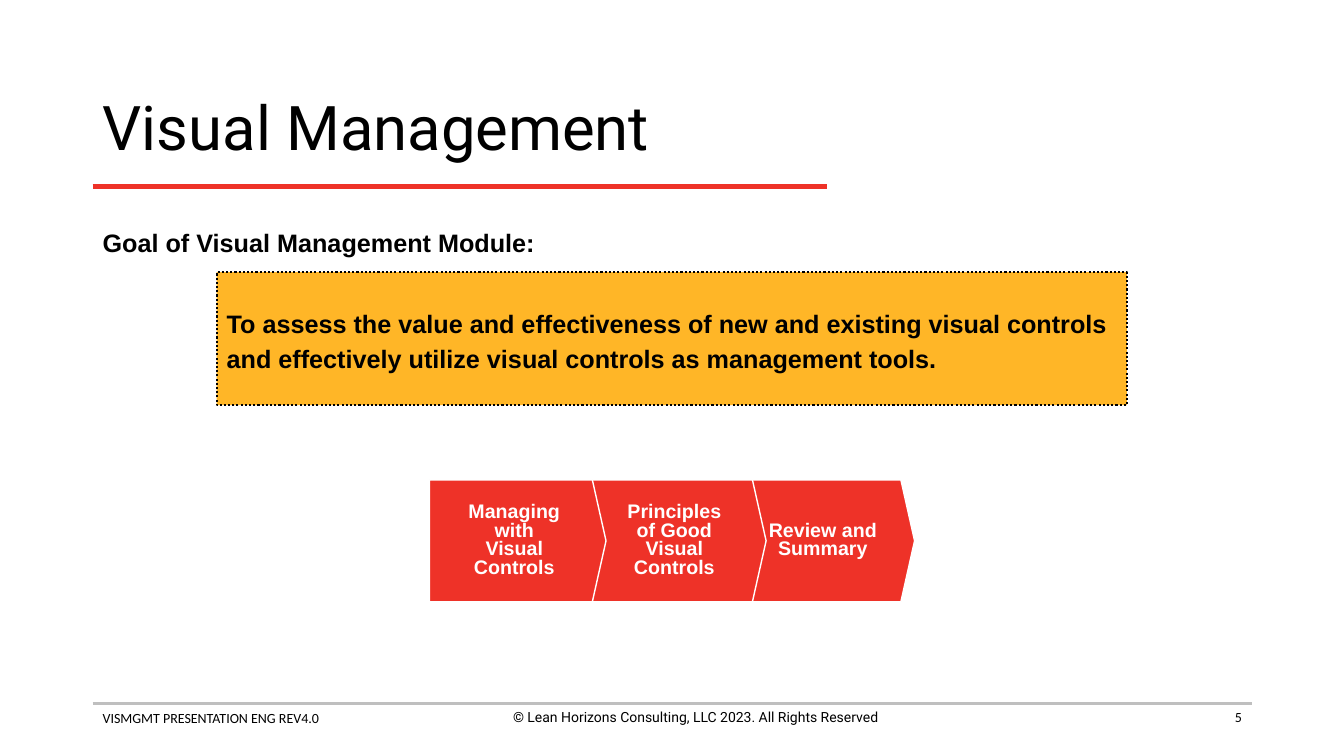
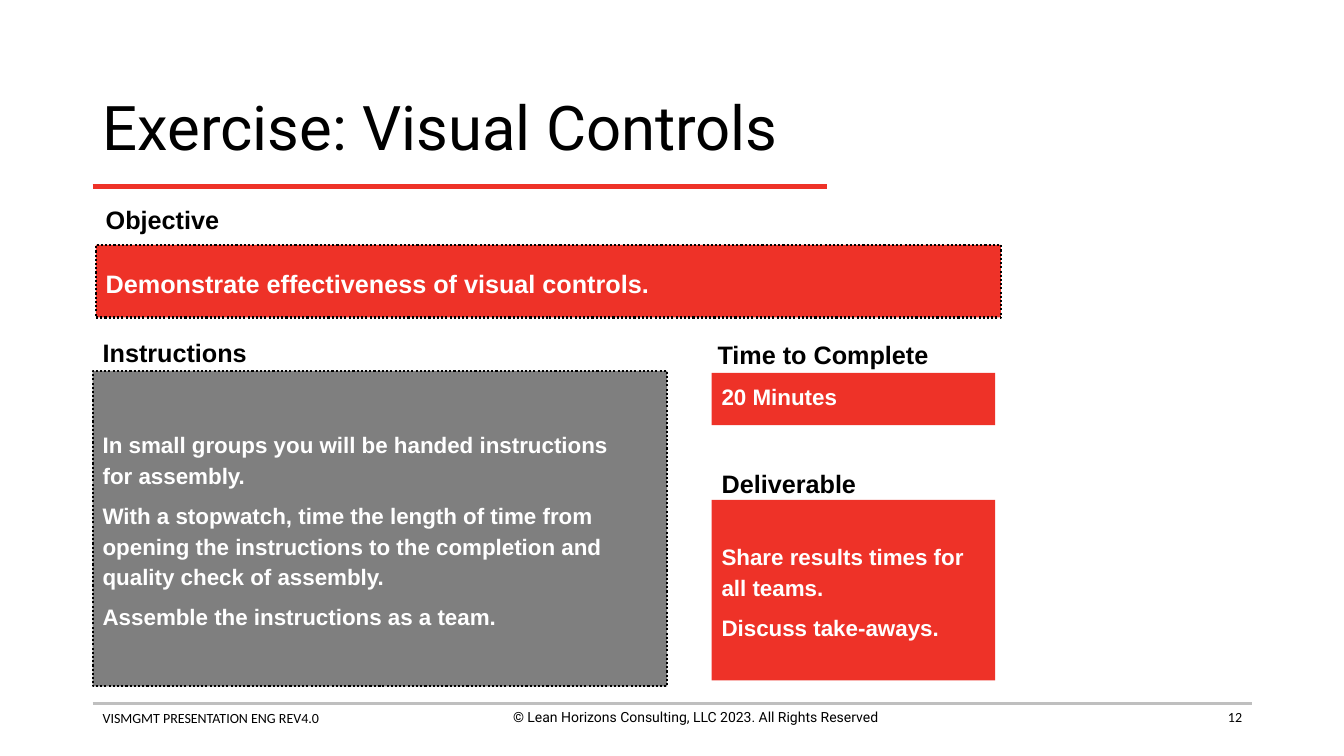
import pptx
import pptx.util
import pptx.dml.color
import pptx.enum.dml
import pptx.enum.shapes
import pptx.enum.text
import pptx.oxml.ns
import lxml.etree

WIDE, HIGH = 13.33, 7.5
RED, GOLD, GRAY, PALE = "EE3228", "FFB627", "7F7F7F", "BFBFBF"
BLACK, WHITE = "000000", "FFFFFF"
EDGE, SPAN = 6.9, 86.25
FOOT = (EDGE, 93.07, SPAN, 5.9)
HEAD = (EDGE, 9.87, SPAN, 14.67)
ALIGN = pptx.enum.text.PP_ALIGN
ANCHOR = pptx.enum.text.MSO_ANCHOR
SHAPE = pptx.enum.shapes.MSO_SHAPE


def size(box):
    x, y, w, h = box
    return [pptx.util.Inches(v * full / 100)
            for v, full in ((x, WIDE), (y, HIGH), (w, WIDE), (h, HIGH))]


def paint(target, color):
    if hasattr(target, "solid"):
        target.solid()
        target = target.fore_color
    else:
        target = target.color
    target.rgb = pptx.dml.color.RGBColor.from_string(color)


def write(shape, text, pt=18, font="Arial", color=BLACK, bold=True,
          align=ALIGN.LEFT, anchor=ANCHOR.TOP, line=1.0, gap=0, after=0):
    frame = shape.text_frame
    frame.word_wrap = True
    frame.vertical_anchor = anchor
    frame.text = text
    for index, para in enumerate(frame.paragraphs):
        para.alignment = align
        para.line_spacing = line
        para.space_before = pptx.util.Pt(gap if index else 0)
        para.space_after = pptx.util.Pt(after)
        para.font.size = pptx.util.Pt(pt)
        para.font.name = font
        para.font.bold = bold
        paint(para.font, color)


def label(slide, box, text, **style):
    write(slide.shapes.add_textbox(*size(box)), text, **style)


def block(slide, box, kind, fill, edge=None, width=1.5, dash=None):
    shape = slide.shapes.add_shape(kind, *size(box))
    shape.shadow.inherit = False
    paint(shape.fill, fill)
    if edge:
        paint(shape.line, edge)
        shape.line.width = pptx.util.Pt(width)
        if dash:
            shape.line.dash_style = dash
    else:
        shape.line.fill.background()
    return shape


def rule(slide, x, y, w, color, width):
    left, top, span, _ = size((x, y, w, 0))
    line = slide.shapes.add_connector(
        pptx.enum.shapes.MSO_CONNECTOR.STRAIGHT, left, top, left + span, top)
    paint(line.line, color)
    line.line.width = pptx.util.Pt(width)
    lxml.etree.SubElement(line._element.spPr, pptx.oxml.ns.qn("a:effectLst"))


def header(slide, box, text):
    x, y, w, h = box
    title = slide.shapes.title
    title.left, title.top, title.width, title.height = size(box)
    write(title, text, pt=44, font="Roboto", bold=False,
          anchor=ANCHOR.MIDDLE, line=0.9)
    rule(slide, x, y + h + 0.13, 54.6, RED, 3)


def footer(slide, box, number):
    x, y, w, h = box
    rule(slide, x, y, w, PALE, 2)
    parts = (
        (0, 0.13, 0.4, "VISMGMT PRESENTATION ENG REV4.0", "Calibri", ALIGN.LEFT),
        (0.32, 0, 0.4, "© Lean Horizons Consulting, LLC 2023. All Rights Reserved",
         "Roboto", ALIGN.CENTER),
        (0.74, 0, 0.26, number, "Calibri", ALIGN.RIGHT),
    )
    for left, drop, share, text, font, align in parts:
        label(slide, (x + left * w, y + drop, share * w, h), text,
              pt=10, font=font, bold=False, align=align)


def panel(slide, box, head, text, fill=RED, color=WHITE, pt=16,
          dots=False, shift=(0, -4.4), line=1.15, after=3.2):
    x, y, w, h = box
    shape = block(slide, box, SHAPE.RECTANGLE, fill, BLACK if dots else None,
                  dash=pptx.enum.dml.MSO_LINE.ROUND_DOT if dots else None)
    write(shape, text, pt=pt, color=color, anchor=ANCHOR.MIDDLE,
          line=line, gap=0.2 * pt, after=after)
    label(slide, (x + shift[0], y + shift[1], 36, 4.5), head, line=0.8)


def chain(slide, box, steps):
    x, y, w, h = box
    for left, text in reversed(steps):
        shape = block(slide, (x + left * w, y, 0.364 * w, h),
                      SHAPE.PENTAGON, RED, WHITE, width=1)
        shape.adjustments[0] = 0.112
        write(shape, text, pt=14, color=WHITE, align=ALIGN.CENTER,
              anchor=ANCHOR.MIDDLE, line=0.8)


def start(deck, title, number):
    slide = deck.slides.add_slide(deck.slide_layouts[5])
    header(slide, HEAD, title)
    footer(slide, FOOT, number)
    return slide


def goal(deck):
    slide = start(deck, "Visual Management", "5")
    panel(slide, (16.13, 36, 67.73, 17.6), "Goal of Visual Management Module:",
          "To assess the value and effectiveness of new and existing visual controls\v"
          "and effectively utilize visual controls as management tools.",
          fill=GOLD, color=BLACK, pt=18, dots=True, shift=(-9.23, -5.87), after=9)
    chain(slide, (31.95, 63.47, 36.1, 16.13), (
        (0, "Managing\vwith\vVisual\vControls"),
        (0.33, "Principles\vof Good\vVisual\vControls"),
        (0.636, "Review and\vSummary")))


def task(deck):
    slide = start(deck, "Exercise: Visual Controls", "12")
    panel(slide, (7.13, 32.4, 67.35, 9.6), "Objective",
          "Demonstrate effectiveness of visual controls.",
          pt=18, dots=True, shift=(0, -5.2))
    panel(slide, (EDGE, 49.07, 42.75, 41.73), "Instructions",
          "In small groups you will be handed instructions\vfor assembly.\n"
          "With a stopwatch, time the length of time from\v"
          "opening the instructions to the completion and\v"
          "quality check of assembly.\n"
          "Assemble the instructions as a team.", fill=GRAY, dots=True)
    panel(slide, (52.95, 49.33, 21.1, 6.93), "Time to Complete", "20 Minutes",
          shift=(-0.3, -4.27), line=0.8, after=0)
    panel(slide, (52.95, 66.13, 21.1, 23.87), "Deliverable",
          "Share results times for\vall teams.\nDiscuss take-aways.",
          shift=(0, -4.13))


def main():
    deck = pptx.Presentation()
    deck.slide_width = pptx.util.Inches(WIDE)
    deck.slide_height = pptx.util.Inches(HIGH)
    goal(deck)
    task(deck)
    deck.save("out.pptx")


if __name__ == "__main__":
    main()
